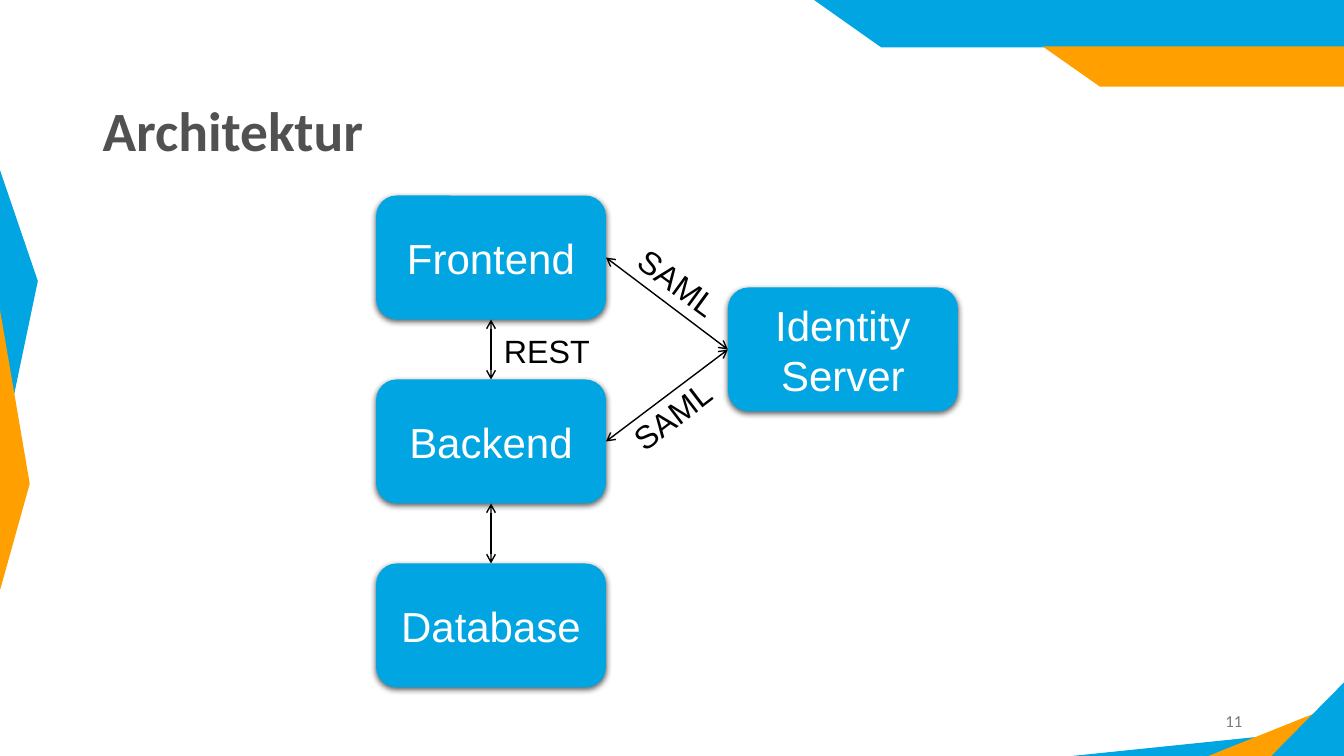
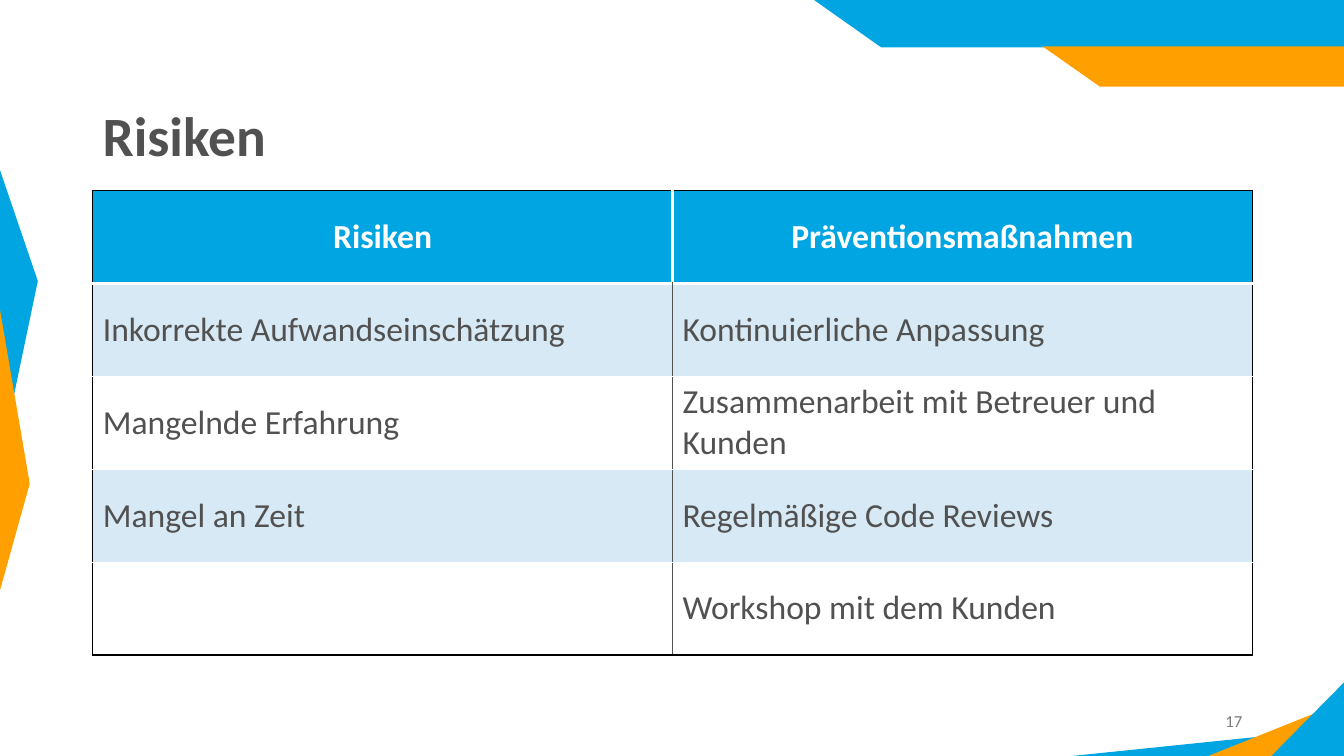
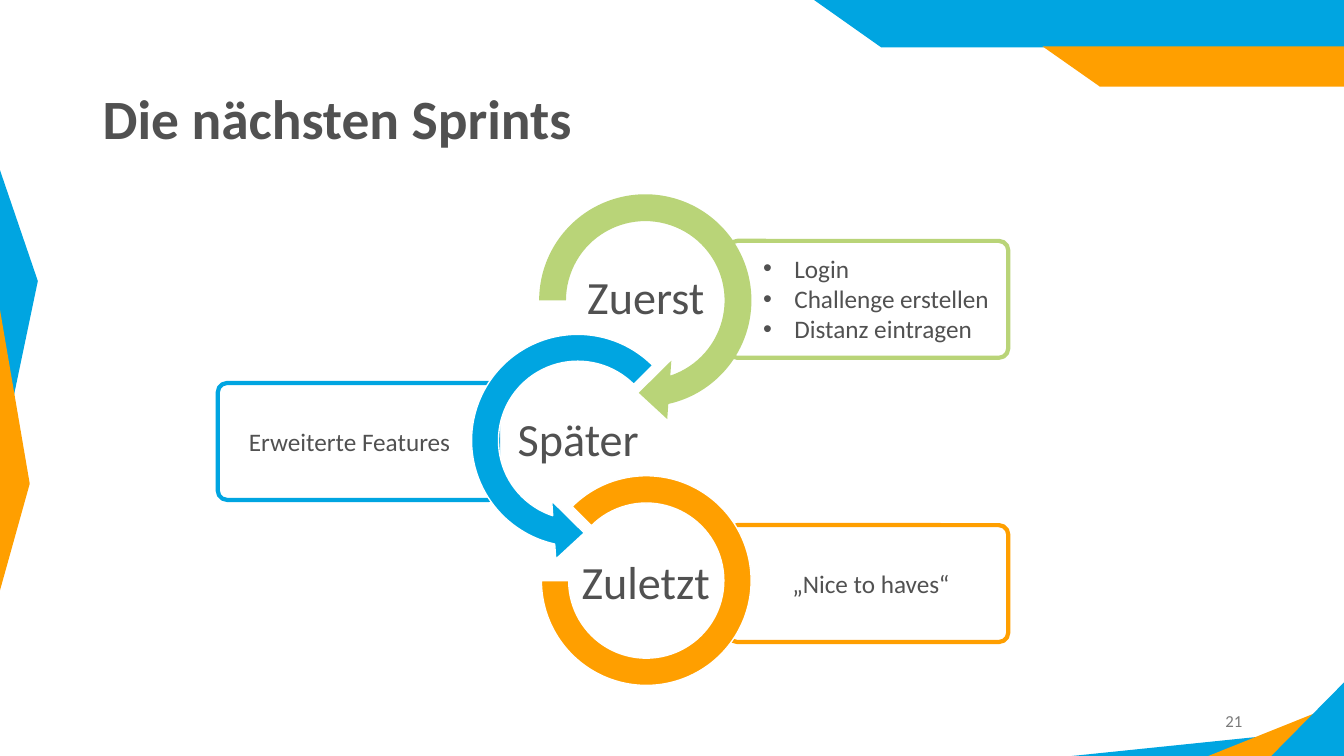
from lxml import etree
from pptx import Presentation
from pptx import util as u
from pptx.dml.color import RGBColor
from pptx.enum import shapes, text
from pptx.oxml import ns

BLUE = RGBColor(0x00, 0xA5, 0xE1)
ORANGE = RGBColor(0xFF, 0x9F, 0x00)
GREEN = RGBColor(0xB9, 0xD4, 0x78)
PALE = RGBColor(0xD7, 0xE9, 0xF4)
GREY = RGBColor(0x51, 0x51, 0x51)
LIGHT_GREY = RGBColor(0x7A, 0x7A, 0x7A)
BLACK = RGBColor(0x00, 0x00, 0x00)
WHITE = RGBColor(0xFF, 0xFF, 0xFF)

KIND = shapes.MSO_SHAPE
ALIGN = text.PP_ALIGN
MIDDLE = text.MSO_ANCHOR.MIDDLE
WIDTH, HEIGHT = 13.33, 7.5
MARGIN, CONTENT_WIDTH = 0.92, 11.5

TITLE = dict(size=39.6, name="Calibri", bold=True, color=GREY)
NUMBER = dict(size=12, name="Calibri", color=LIGHT_GREY)
NODE = dict(size=30, name="Arial", color=WHITE)
LINK = dict(size=23, name="Arial", color=BLACK)
HEADER = dict(size=24, name="Calibri", bold=True, color=WHITE)
CELL = dict(size=24, name="Calibri", color=GREY)
STEP = dict(size=33, name="Calibri", color=GREY)
DETAIL = dict(size=18, name="Calibri", color=GREY)

DECORATION = [
    (KIND.ISOSCELES_TRIANGLE, (10.63, 7.22, 2.72, 0.28), 0, 1, BLUE),
    (KIND.RECTANGLE, (8.74, -0.01, 4.6, 0.48), 0, None, BLUE),
    (KIND.ISOSCELES_TRIANGLE, (8.06, -0.01, 0.68, 0.48), 180, 0, BLUE),
    (KIND.RECTANGLE, (10.91, 0.46, 2.44, 0.4), 0, None, ORANGE),
    (KIND.ISOSCELES_TRIANGLE, (10.34, 0.46, 0.57, 0.4), 180, 0, ORANGE),
    (KIND.ISOSCELES_TRIANGLE, (-1.28, 2.95, 2.93, 0.38), 90, 0.38, BLUE),
    (KIND.ISOSCELES_TRIANGLE, (-1.27, 4.31, 2.83, 0.3), 90, 0.62, ORANGE),
    (KIND.ISOSCELES_TRIANGLE, (11.96, 6.96, 1.37, 0.55), 0, 1, ORANGE),
    (KIND.ISOSCELES_TRIANGLE, (12.6, 6.75, 0.75, 0.76), 0, 1, BLUE),
]

NODES = {
    "Frontend": (0, 0),
    "Backend": (0, 1),
    "Database": (0, 2),
    "Identity Server": (1, 0.5),
}
TOP, LEFT, BOTTOM, RIGHT = range(4)
LINKS = [
    ("Frontend", BOTTOM, "Backend", TOP),
    ("Backend", BOTTOM, "Database", TOP),
    ("Backend", RIGHT, "Identity Server", LEFT),
    ("Frontend", RIGHT, "Identity Server", LEFT),
]
LINK_LABELS = [
    ("SAML", (6.17, 2.62, 1.27, 0.49), 36.2),
    ("SAML", (6.13, 3.87, 1.1, 0.49), 322.6),
    ("REST", (4.9, 3.24, 1.6, 0.49), 0),
]

RISKS = [
    ("Risiken", "Präventionsmaßnahmen"),
    ("Inkorrekte Aufwandseinschätzung", "Kontinuierliche Anpassung"),
    ("Mangelnde Erfahrung", "Zusammenarbeit mit Betreuer und Kunden"),
    ("Mangel an Zeit", "Regelmäßige Code Reviews"),
    ("", "Workshop mit dem Kunden"),
]

SPRINTS = [
    dict(step="Zuerst", color=GREEN, label_left=5.73, box_left=7.22,
         kind=KIND.CIRCULAR_ARROW, ring=(5.19, 1.77, 2.42, 2.42),
         adjust=(0.11, 11.42, 45, 108, 0.12), outline=None,
         details=["Login", "Challenge erstellen", "Distanz eintragen"],
         details_at=(7.47, 2.46, 2.51, 1.01)),
    dict(step="Später", color=BLUE, label_left=5.06, box_left=2.16,
         kind=KIND.LEFT_CIRCULAR_ARROW, ring=(4.52, 3.16, 2.42, 2.42),
         adjust=(0.11, 11.42, 63, 189, 0.12), outline=WHITE,
         details=["Erweiterte Features"], details_at=(2.37, 4.18, 3.42, 0.4)),
    dict(step="Zuletzt", color=ORANGE, label_left=5.73, box_left=7.22,
         kind=KIND.BLOCK_ARC, ring=(5.37, 4.72, 2.08, 2.08),
         adjust=(135, 108, 0.13), outline=WHITE,
         details=["„Nice to haves“"], details_at=(7.76, 5.59, 1.94, 0.4)),
]


def inches(lengths):
    return [u.Inches(length) for length in lengths]


def add_xml(parent, tag, **attributes):
    return etree.SubElement(parent, ns.qn(tag), attributes)


def write(frame, lines, look, align=ALIGN.LEFT, anchor=text.MSO_ANCHOR.TOP,
          spacing=None, inset=None):
    frame.word_wrap = True
    frame.vertical_anchor = anchor
    if inset is not None:
        for side in ("left", "top", "right", "bottom"):
            setattr(frame, f"margin_{side}", u.Inches(inset))
    for index, line in enumerate(lines):
        paragraph = frame.add_paragraph() if index else frame.paragraphs[0]
        paragraph.alignment = align
        if spacing:
            paragraph.line_spacing = spacing
        run = paragraph.add_run()
        run.text = line
        set_font(run.font, look)


def set_font(font, look):
    for name, value in look.items():
        if name == "color":
            font.color.rgb = value
        else:
            setattr(font, name, u.Pt(value) if name == "size" else value)


def add_text(slide, at, lines, look, rotation=0, **layout):
    box = slide.shapes.add_textbox(*inches(at))
    box.rotation = rotation
    write(box.text_frame, lines, look, **layout)
    return box


def add_figure(slide, kind, at, fill=None, outline=None, weight=1, adjust=(), rotation=0):
    shape = slide.shapes.add_shape(kind, *inches(at))
    shape.shadow.inherit = False
    shape.rotation = rotation
    for index, value in enumerate(adjust):
        shape.adjustments[index] = value
    for paint, color in ((shape.fill, fill), (shape.line.fill, outline)):
        if color is None:
            paint.background()
        else:
            paint.solid()
            paint.fore_color.rgb = color
    if outline is not None:
        shape.line.width = u.Pt(weight)
    return shape


def decorate(layout, slide):
    for kind, at, rotation, peak, color in DECORATION:
        adjust = () if peak is None else (peak,)
        shape = add_figure(slide, kind, at, color, adjust=adjust, rotation=rotation)
        layout.shapes._spTree.append(shape._element)


def add_frame(slide, title, title_top, number):
    add_text(slide, (MARGIN, title_top, CONTENT_WIDTH, 0.69), [title], TITLE,
             anchor=MIDDLE, spacing=0.9)
    add_text(slide, (9.42, 6.95, 3, 0.4), [number], NUMBER,
             align=ALIGN.RIGHT, anchor=MIDDLE)


def add_soft_shadow(shape):
    effects = shape._element.spPr.find(ns.qn("a:effectLst"))
    shadow = add_xml(effects, "a:outerShdw", blurRad=str(u.Pt(4.5)), dist=str(u.Pt(1.5)),
                     dir="5400000", algn="ctr", rotWithShape="0")
    color = add_xml(shadow, "a:srgbClr", val=str(BLACK))
    add_xml(color, "a:alpha", val="63000")


def add_double_arrow(slide, start, start_site, end, end_site):
    arrow = slide.shapes.add_connector(shapes.MSO_CONNECTOR.STRAIGHT, 0, 0, 0, 0)
    arrow.begin_connect(start, start_site)
    arrow.end_connect(end, end_site)
    arrow.line.color.rgb = BLACK
    arrow.line.width = u.Pt(1)
    line = arrow.line._get_or_add_ln()
    for end_tag in ("a:headEnd", "a:tailEnd"):
        add_xml(line, end_tag, type="arrow")
    add_xml(arrow._element.spPr, "a:effectLst")


def build_architecture(slide):
    boxes = {}
    for name, (column, row) in NODES.items():
        at = (3.73 + column * 3.49, 1.94 + row * 1.825, 2.28, 1.23)
        box = add_figure(slide, KIND.ROUNDED_RECTANGLE, at, BLUE)
        add_soft_shadow(box)
        write(box.text_frame, [name], NODE, ALIGN.CENTER, MIDDLE)
        boxes[name] = box
    for start, start_site, end, end_site in LINKS:
        add_double_arrow(slide, boxes[start], start_site, boxes[end], end_site)
    for label, at, rotation in LINK_LABELS:
        add_text(slide, at, [label], LINK, rotation)


def set_borders(cell, borders):
    properties = cell._tc.get_or_add_tcPr()
    for index, (side, (color, weight)) in enumerate(borders.items()):
        line = add_xml(properties, f"a:ln{side}", w=str(u.Pt(weight)))
        add_xml(add_xml(line, "a:solidFill"), "a:srgbClr", val=str(color))
        properties.insert(index, line)


def build_risks(slide):
    rows, columns = len(RISKS), len(RISKS[0])
    at = inches((MARGIN, 1.89, CONTENT_WIDTH, 4.61))
    table = slide.shapes.add_table(rows, columns, *at).table
    table.horz_banding = False
    outer = (BLACK, 1)
    for row, entries in enumerate(RISKS):
        middle = (GREY, 1) if row else (WHITE, 2.25)
        above = (WHITE, 3 if row == 1 else 1) if row else outer
        below = (WHITE, 1 if row else 3) if row < rows - 1 else outer
        for column, entry in enumerate(entries):
            cell = table.cell(row, column)
            cell.vertical_anchor = MIDDLE
            cell.fill.solid()
            cell.fill.fore_color.rgb = (PALE if row % 2 else WHITE) if row else BLUE
            paragraph = cell.text_frame.paragraphs[0]
            paragraph.alignment = ALIGN.LEFT if row else ALIGN.CENTER
            if entry:
                run = paragraph.add_run()
                run.text = entry
                set_font(run.font, CELL if row else HEADER)
            set_borders(cell, {
                "L": middle if column else outer,
                "R": middle if column < columns - 1 else outer,
                "T": above,
                "B": below,
            })


def add_bullets(frame):
    indent = u.Inches(0.31)
    for paragraph in frame.paragraphs:
        properties = paragraph._p.get_or_add_pPr()
        properties.set("marL", str(indent))
        properties.set("indent", str(-indent))
        add_xml(properties, "a:buFont", typeface="Arial")
        add_xml(properties, "a:buChar", char="•")


def build_sprints(slide):
    pitch = 1.41
    for index, sprint in enumerate(SPRINTS):
        at = (sprint["box_left"], 2.39 + index * pitch, 2.78, 1.16)
        add_figure(slide, KIND.ROUNDED_RECTANGLE, at, outline=sprint["color"],
                   weight=3, adjust=(0.08,))
    for index, sprint in enumerate(SPRINTS):
        add_figure(slide, sprint["kind"], sprint["ring"], sprint["color"],
                   sprint["outline"], adjust=sprint["adjust"])
        add_text(slide, (sprint["label_left"], 2.64 + index * pitch, 1.35, 0.67),
                 [sprint["step"]], STEP, align=ALIGN.CENTER, anchor=MIDDLE,
                 spacing=0.9, inset=0.02)
    for sprint in SPRINTS:
        box = add_text(slide, sprint["details_at"], sprint["details"], DETAIL)
        if len(sprint["details"]) > 1:
            add_bullets(box.text_frame)


SLIDES = [
    ("Architektur", 0.98, "11", build_architecture),
    ("Risiken", 1.03, "17", build_risks),
    ("Die nächsten Sprints", 0.86, "21", build_sprints),
]


def main():
    presentation = Presentation()
    presentation.slide_width, presentation.slide_height = inches((WIDTH, HEIGHT))
    blank = presentation.slide_layouts[6]
    for index, (title, title_top, number, build) in enumerate(SLIDES):
        slide = presentation.slides.add_slide(blank)
        if index == 0:
            decorate(blank, slide)
        add_frame(slide, title, title_top, number)
        build(slide)
    presentation.save("out.pptx")


if __name__ == "__main__":
    main()
